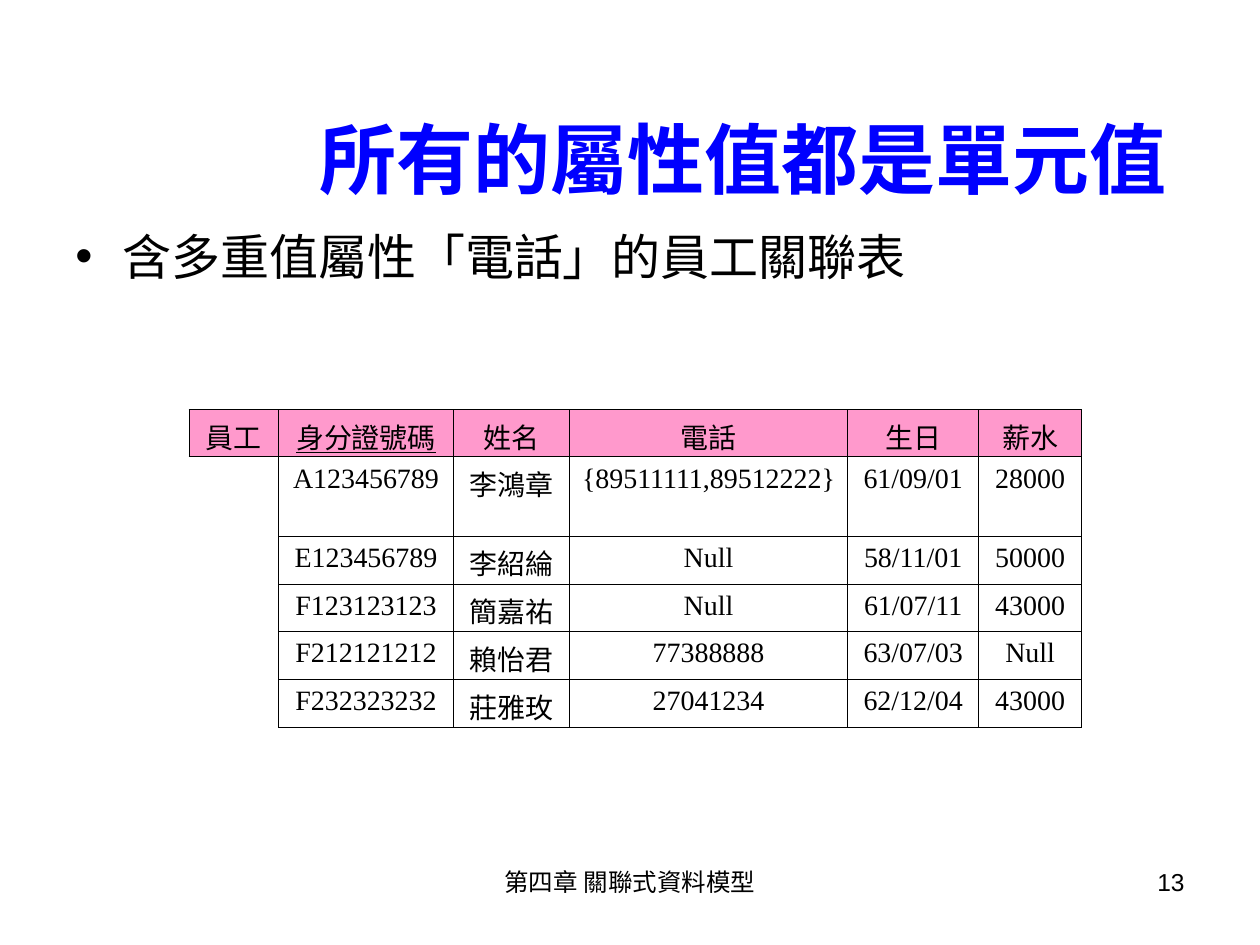
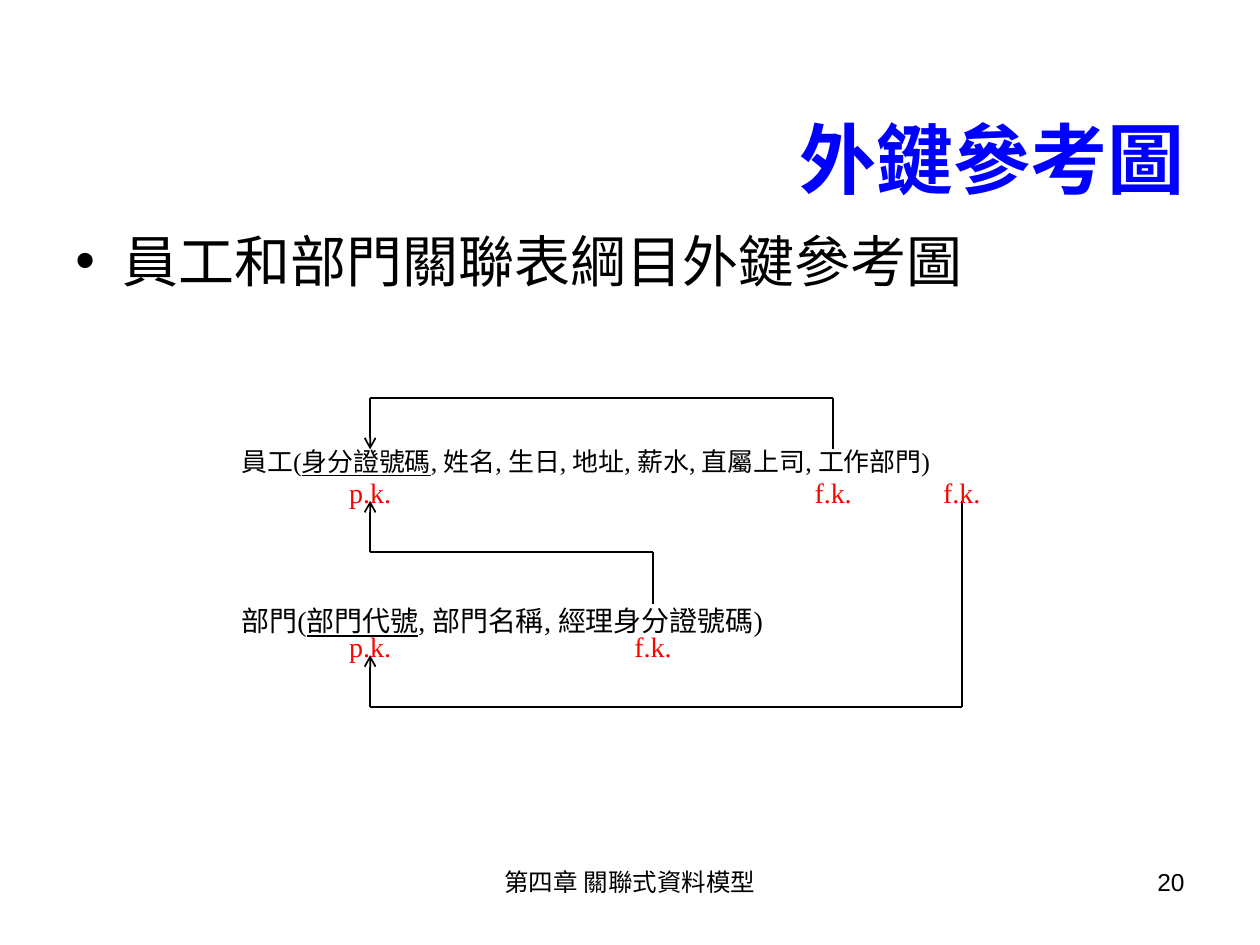
from dataclasses import dataclass

from lxml import etree
from pptx import Presentation
from pptx.dml.color import RGBColor
from pptx.enum.shapes import MSO_CONNECTOR
from pptx.enum.text import MSO_ANCHOR, PP_ALIGN
from pptx.oxml.ns import qn
from pptx.util import Inches, Pt

LEFT, CENTER, RIGHT = PP_ALIGN.LEFT, PP_ALIGN.CENTER, PP_ALIGN.RIGHT
TOP, MIDDLE = MSO_ANCHOR.TOP, MSO_ANCHOR.MIDDLE
STRAIGHT = MSO_CONNECTOR.STRAIGHT


@dataclass(frozen=True)
class Theme:
    sans: str = "Arial"
    serif: str = "Times New Roman"
    black: str = "000000"
    white: str = "FFFFFF"
    title_blue: str = "0000FF"
    header_pink: str = "FF99CC"
    key_red: str = "FF0000"
    title_size: float = 44
    footer_size: float = 14
    detail_size: float = 16
    border_width: float = 0.45
    arrow_width: float = 1


theme = Theme()
GRID = Inches(1) / 12  # the slide is 120 columns by 90 rows
BULLET_INDENT = 4.5


def grid(*counts):
    return [round(count * GRID) for count in counts]


def add_text(slide, box, segments, size, color=theme.black, font=theme.sans, bold=False,
             align=LEFT, anchor=TOP, inset=True, bullet=False, line_spacing=None):
    """Add one paragraph; segments are (text, underlined) pairs."""
    shape = slide.shapes.add_textbox(*grid(*box))
    frame = shape.text_frame
    frame.word_wrap = True
    frame.vertical_anchor = anchor
    if not inset:
        frame.margin_left = frame.margin_right = frame.margin_top = frame.margin_bottom = 0
    paragraph = frame.paragraphs[0]
    paragraph.alignment = align
    if line_spacing:
        paragraph.line_spacing = line_spacing
    if bullet:
        properties = paragraph._p.get_or_add_pPr()
        indent, = grid(BULLET_INDENT)
        properties.set("marL", str(indent))
        properties.set("indent", str(-indent))
        bullet_color = etree.SubElement(properties, qn("a:buClr"))
        etree.SubElement(bullet_color, qn("a:srgbClr"), val=theme.black)
        etree.SubElement(properties, qn("a:buFont"), typeface=theme.sans)
        etree.SubElement(properties, qn("a:buChar"), char="•")
    paragraph.font.name = font
    paragraph.font.size = Pt(size)
    paragraph.font.bold = bold
    paragraph.font.color.rgb = RGBColor.from_string(color)
    for text, underlined in segments:
        run = paragraph.add_run()
        run.text = text
        if underlined:
            run.font.underline = True


presentation = Presentation()
presentation.slide_width, presentation.slide_height = grid(120, 90)
blank_layout = presentation.slide_layouts[6]

# Shared frame: footer, page number, title and bullet
pages = [
    ("13", "所有的屬性值都是單元值 ", "含多重值屬性「電話」的員工關聯表", 28),
    ("20", "外鍵參考圖", "員工和部門關聯表綱目外鍵參考圖", 32),
]
slides = []
for number, title, bullet_text, bullet_size in pages:
    slide = presentation.slides.add_slide(blank_layout)
    slides.append(slide)
    add_text(slide, (41, 82, 38, 6.25), [("第四章 關聯式資料模型", False)],
             theme.footer_size, align=CENTER)
    add_text(slide, (86, 82, 28, 6.25), [(number, False)], theme.footer_size, align=RIGHT)
    add_text(slide, (6, 11, 108, 8), [(title, False)], theme.title_size, theme.title_blue,
             bold=True, align=RIGHT, anchor=MIDDLE)
    add_text(slide, (6, 21, 108, 65), [(bullet_text, False)], bullet_size, bullet=True)
table_slide, diagram_slide = slides

# Employee table
employees = [
    ("員工", "身分證號碼", "姓名", "電話", "生日", "薪水"),
    ("", "A123456789", "李鴻章", "{89511111,89512222}", "61/09/01", "28000"),
    ("", "E123456789", "李紹綸", "Null", "58/11/01", "50000"),
    ("", "F123123123", "簡嘉祐", "Null", "61/07/11", "43000"),
    ("", "F212121212", "賴怡君", "77388888", "63/07/03", "Null"),
    ("", "F232323232", "莊雅玫", "27041234", "62/12/04", "43000"),
]
column_widths = [8.52, 16.68, 11.04, 26.5, 12.48, 9.8]
row_heights = [4.5, 7.56] + [4.55] * 4
frame = table_slide.shapes.add_table(
    len(row_heights), len(column_widths),
    *grid(18, 39, sum(column_widths), sum(row_heights)))
table = frame.table
table.first_row = table.horz_banding = False
for column, width in zip(table.columns, grid(*column_widths)):
    column.width = width
for row, height in zip(table.rows, grid(*row_heights)):
    row.height = height

for row_index, employee in enumerate(employees):
    for column_index, text in enumerate(employee):
        cell = table.cell(row_index, column_index)
        cell.text = text
        # Empty cells only carry the edges they share with filled ones
        drawn_sides = "LRTB" if text else "RT" if row_index == 1 else "R"
        cell_properties = cell._tc.get_or_add_tcPr()
        for side in "LRTB":
            border = etree.SubElement(cell_properties, qn(f"a:ln{side}"),
                                      w=str(Pt(theme.border_width)))
            if side in drawn_sides:
                border_fill = etree.SubElement(border, qn("a:solidFill"))
                etree.SubElement(border_fill, qn("a:srgbClr"), val=theme.black)
            else:
                etree.SubElement(border, qn("a:noFill"))
        if text:
            cell.fill.solid()
            cell.fill.fore_color.rgb = RGBColor.from_string(
                theme.white if row_index else theme.header_pink)
        else:
            cell.fill.background()
        paragraph = cell.text_frame.paragraphs[0]
        paragraph.alignment = CENTER
        paragraph.font.name = theme.serif
        paragraph.font.size = Pt(theme.detail_size)
        paragraph.font.color.rgb = RGBColor.from_string(theme.black)
        if text == "身分證號碼":
            paragraph.runs[0].font.underline = True

# Foreign key diagram, on its own finer grid of steps
STEP = 2.45
DIAGRAM_LEFT, DIAGRAM_TOP = 23, 37.9
schemas = [
    (2, 14.8, 0.9, [("員工(", False), ("身分證號碼", True),
                    (", 姓名, 生日, 地址, 薪水, 直屬上司, 工作部門)", False)]),
    (8, theme.detail_size, None, [("部門(", False), ("部門代號", True),
                                  (", 部門名稱, 經理身分證號碼)", False)]),
]
for step_down, size, line_spacing, segments in schemas:
    box = (DIAGRAM_LEFT, DIAGRAM_TOP + step_down * STEP, 32 * STEP, 2 * STEP)
    add_text(diagram_slide, box, segments, size, font=theme.serif, inset=False,
             line_spacing=line_spacing)

# Each reference: foreign key column and row, level of the crossing line, row of the arrow tip
PRIMARY, MANAGER, SUPERVISOR, DEPARTMENT = 5, 16, 23, 28
references = [(SUPERVISOR, 2, 0, 2), (DEPARTMENT, 4, 12, 10), (MANAGER, 8, 6, 4)]
for foreign, foreign_row, level, tip_row in references:
    corners = [(foreign, foreign_row), (foreign, level), (PRIMARY, level), (PRIMARY, tip_row)]
    for start, end in zip(corners, corners[1:]):
        ends = grid(*(origin + step * STEP for point in (start, end)
                      for origin, step in zip((DIAGRAM_LEFT, DIAGRAM_TOP), point)))
        connector = diagram_slide.shapes.add_connector(STRAIGHT, *ends)
        connector.line.color.rgb = RGBColor.from_string(theme.black)
        connector.line.width = Pt(theme.arrow_width)
        if end == corners[-1]:
            etree.SubElement(connector.line._get_or_add_ln(), qn("a:tailEnd"), type="arrow")
        etree.SubElement(connector._element.spPr, qn("a:effectLst"))

# Key labels, centred on their columns
key_labels = [(DEPARTMENT, 3, "f.k."), (SUPERVISOR, 3, "f.k."), (MANAGER, 9, "f.k."),
              (PRIMARY, 3, "p.k."), (PRIMARY, 9, "p.k.")]
for key_column, key_row, label in key_labels:
    box = (DIAGRAM_LEFT + (key_column - 1) * STEP, DIAGRAM_TOP + key_row * STEP,
           2 * STEP, 2 * STEP)
    add_text(diagram_slide, box, [(label, False)], theme.detail_size, theme.key_red,
             theme.serif, align=CENTER, inset=False)

presentation.save("out.pptx")
